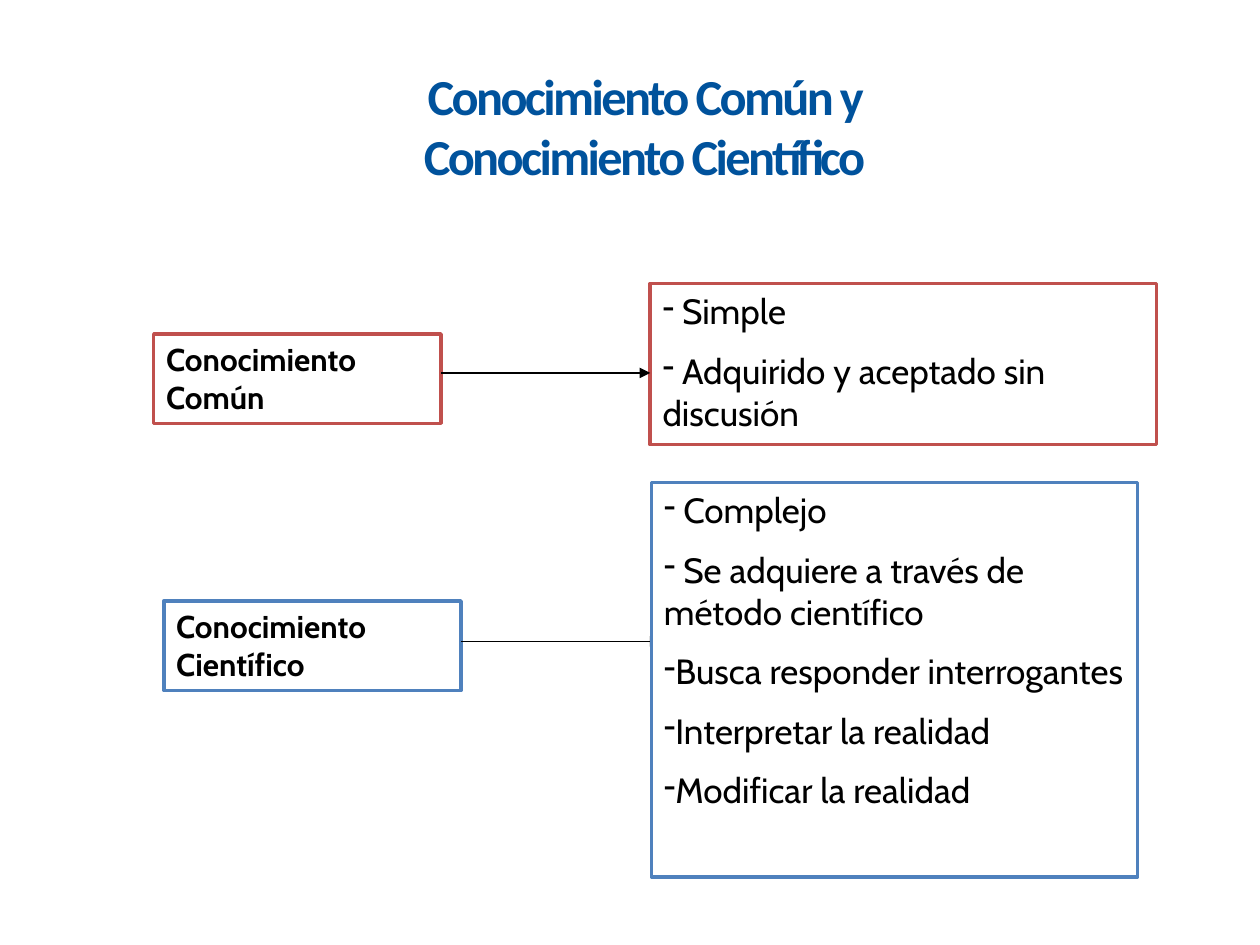
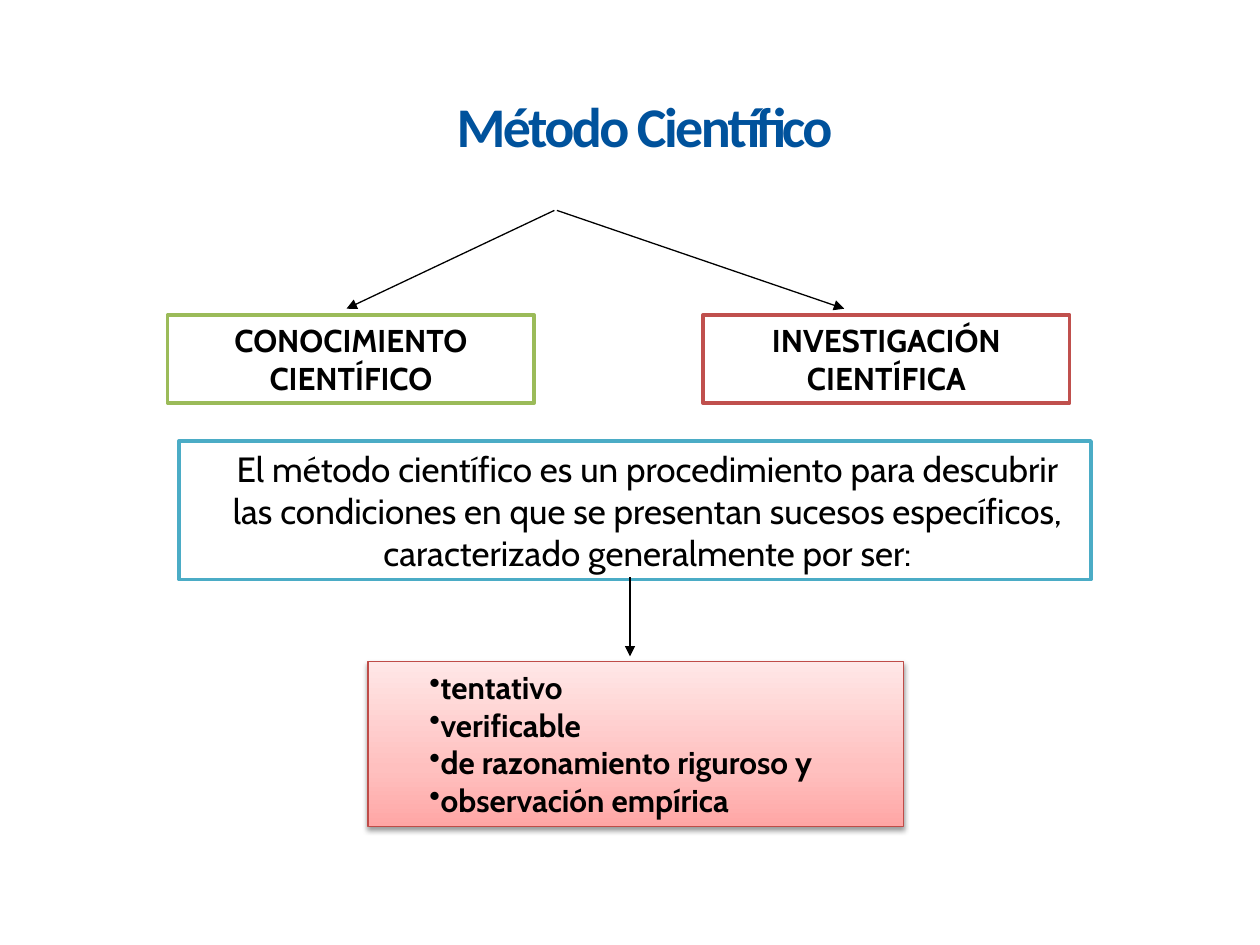
from pptx import Presentation
from pptx.dml.color import RGBColor as RGB
from pptx.enum.shapes import MSO_CONNECTOR as Conn, MSO_SHAPE as Shape
from pptx.enum.text import MSO_ANCHOR as Anchor, PP_ALIGN as Align
from pptx.oxml import parse_xml
from pptx.oxml.ns import nsdecls, qn
from pptx.util import Inches, Pt
from lxml.etree import SubElement

BLACK, WHITE, NAVY = "000000", "FFFFFF", "00529C"
RED, BLUE, GREEN, TEAL = "C0504D", "4F81BD", "9BBB59", "4BACC6"
STOPS = [(0, "FFA6A5"), (35, "FFC0BF"), (100, "FFE7E7")]


def color(code):
    """Turn a hex string into a colour."""
    return RGB.from_string(code)


def write(shape, lines, size=18, font="Cabin", ink=BLACK, bold=False,
          align=Align.LEFT, anchor=Anchor.TOP, gap=0, left=0, first=0,
          bullet=None, track=None):
    """Fill a shape with formatted paragraphs."""
    frame = shape.text_frame
    frame.word_wrap = True
    frame.vertical_anchor = anchor
    for i, line in enumerate(lines):
        para = frame.add_paragraph() if i else frame.paragraphs[0]
        para.alignment = align
        para.space_before = Pt(gap if i else 0)
        props = para._p.get_or_add_pPr()
        props.set("marL", str(Inches(left)))
        props.set("indent", str(Inches(first)))
        if bullet:
            SubElement(props, qn("a:buChar")).set("char", bullet)
        run = para.add_run()
        run.text = line
        run.font.size, run.font.name, run.font.bold = Pt(size), font, bold
        run.font.color.rgb = color(ink)
        if track:
            run._r.get_or_add_rPr().set("spc", str(track))


def title(slide, text, size):
    """Add the slide title."""
    box = slide.shapes.add_textbox(*map(Inches, (2.32, 0.6, 5.59, 0.79)))
    write(box, [text], size=size, font="Calibri", ink=NAVY, bold=True,
          align=Align.CENTER, anchor=Anchor.MIDDLE, track=-150)


def frame(slide, box, edge, lines, width=2, **style):
    """Add an outlined white box with text."""
    shape = slide.shapes.add_shape(Shape.RECTANGLE, *map(Inches, box))
    shape.shadow.inherit = False
    shape.fill.solid()
    shape.fill.fore_color.rgb = color(WHITE)
    shape.line.color.rgb = color(edge)
    shape.line.width = Pt(width)
    write(shape, lines, **style)
    return shape


def arrow(slide, start, end):
    """Draw a thin black arrow between two points."""
    line = slide.shapes.add_connector(
        Conn.STRAIGHT, *map(Inches, (*start, *end)))
    line.line.color.rgb = color(BLACK)
    line.line.width = Pt(0.75)
    props = line._element.spPr
    SubElement(props.find(qn("a:ln")), qn("a:tailEnd")).set("type", "triangle")
    SubElement(props, qn("a:effectLst"))


def glow(shape):
    """Give a shape the pink gradient and a soft shadow."""
    props = shape._element.spPr
    stops = "".join(f'<a:gs pos="{pos * 1000}"><a:srgbClr val="{code}"/></a:gs>'
                    for pos, code in STOPS)
    props.replace(props.find(qn("a:solidFill")), parse_xml(
        f'<a:gradFill {nsdecls("a")} rotWithShape="1"><a:gsLst>{stops}</a:gsLst>'
        '<a:lin ang="16200000" scaled="0"/></a:gradFill>'))
    props.replace(props.find(qn("a:effectLst")), parse_xml(
        f'<a:effectLst {nsdecls("a")}><a:outerShdw blurRad="{Pt(3.1)}" '
        f'dist="{Pt(1.6)}" dir="5400000" rotWithShape="0"><a:srgbClr val="{BLACK}">'
        '<a:alpha val="38000"/></a:srgbClr></a:outerShdw></a:effectLst>'))


def compare(slide):
    """Build the slide that sets common against scientific knowledge."""
    title(slide, "Conocimiento Común y Conocimiento Científico", 28.8)
    traits = dict(size=20, gap=10, bullet="-")
    frame(slide, (1.22, 2.65, 2.28, 0.71), RED, ["Conocimiento Común"], bold=True)
    frame(slide, (1.3, 4.77, 2.36, 0.71), BLUE, ["Conocimiento Científico"],
          bold=True)
    frame(slide, (5.16, 2.25, 4.02, 1.28), RED,
          [" Simple", " Adquirido y aceptado sin discusión"], **traits)
    arrow(slide, (3.5, 2.96), (5.16, 2.96))
    arrow(slide, (3.66, 5.09), (5.24, 5.09))
    frame(slide, (5.17, 3.83, 3.86, 3.13), BLUE,
          [" Complejo", " Se adquiere a través de método científico",
           "Busca responder interrogantes", "Interpretar la realidad",
           "Modificar la realidad"], **traits)


def method(slide):
    """Build the slide on the scientific method."""
    title(slide, "Método Científico", 32)
    heads = [(1.33, GREEN, "CONOCIMIENTO CIENTÍFICO"),
             (5.58, RED, "INVESTIGACIÓN CIENTÍFICA")]
    for x, edge, text in heads:
        frame(slide, (x, 2.5, 2.91, 0.7), edge, [text], bold=True,
              align=Align.CENTER)
    arrow(slide, (4.4, 1.67), (2.75, 2.45))
    arrow(slide, (4.42, 1.67), (6.7, 2.45))
    frame(slide, (1.42, 3.5, 7.24, 1.1), TEAL,
          ["El método científico es un procedimiento para descubrir las "
           "condiciones en que se presentan sucesos específicos, "
           "caracterizado generalmente por ser:"],
          size=20, align=Align.CENTER, left=0.2)
    glow(frame(slide, (2.92, 5.25, 4.25, 1.31), "BF4C48",
               ["tentativo", "verificable", "de razonamiento riguroso y",
                "observación empírica"],
               width=0.75, bold=True, bullet="•", first=0.39))
    arrow(slide, (5, 4.58), (5, 5.21))


def main():
    """Build and save the deck."""
    deck = Presentation()
    deck.slide_width, deck.slide_height = Inches(10), Inches(7.5)
    for build in (compare, method):
        build(deck.slides.add_slide(deck.slide_layouts[6]))
    deck.save("out.pptx")


if __name__ == "__main__":
    main()
